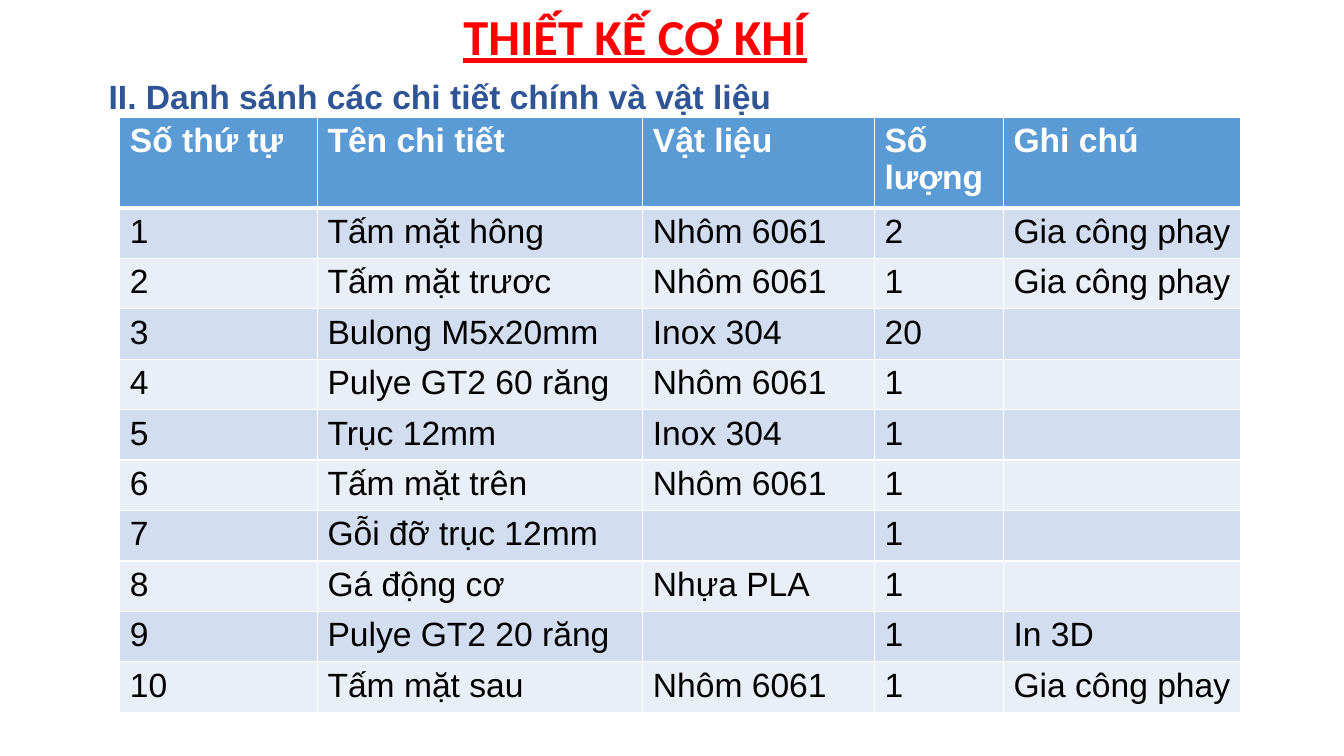
from dataclasses import dataclass

import lxml.etree
import pptx
import pptx.dml.color
import pptx.enum.text
import pptx.oxml.ns
import pptx.util

Cm = pptx.util.Cm


@dataclass(frozen=True)
class Theme:
    title_color: str = "FF0000"
    subtitle_color: str = "2F5597"
    header_color: str = "FFFFFF"
    body_color: str = "000000"
    border_color: str = "FFFFFF"
    header_fill: str = "5B9BD5"
    band_fills: tuple[str, str] = ("D2DEEF", "EAEFF7")
    title_size: float = 36
    text_size: float = 24
    thin_border: float = 1
    thick_border: float = 3


@dataclass(frozen=True)
class TextStyle:
    font: str
    size: float
    color: str
    bold: bool = True
    underline: bool = False


@dataclass(frozen=True)
class Heading:
    text: str
    left: float
    top: float
    width: float
    height: float
    style: TextStyle
    alignment: pptx.enum.text.PP_ALIGN


@dataclass(frozen=True)
class Part:
    name: str
    material: str
    quantity: str
    note: str = ""


THEME = Theme()
TITLE_STYLE = TextStyle("Calibri", THEME.title_size, THEME.title_color, underline=True)
SUBTITLE_STYLE = TextStyle("Arial", THEME.text_size, THEME.subtitle_color)
HEADER_STYLE = TextStyle("Arial", THEME.text_size, THEME.header_color)
BODY_STYLE = TextStyle("Arial", THEME.text_size, THEME.body_color, bold=False)

HEADINGS = (
    Heading("THIẾT KẾ CƠ KHÍ", 3.02, 0, 25.98, 1.8, TITLE_STYLE,
            pptx.enum.text.PP_ALIGN.CENTER),
    Heading("II. Danh sánh các chi tiết chính và vật liệu", 2.49, 1.8, 22.56, 2.11,
            SUBTITLE_STYLE, pptx.enum.text.PP_ALIGN.LEFT),
)

TABLE_LEFT, TABLE_TOP = 3.02, 2.95
COLUMN_WIDTHS = (4.98, 8.2, 5.84, 3.25, 5.98)
HEADER_HEIGHT, BODY_HEIGHT = 2.28, 1.27
COLUMN_TITLES = ("Số thứ tự", "Tên chi tiết", "Vật liệu", "Số lượng", "Ghi chú")
PARTS = (
    Part("Tấm mặt hông", "Nhôm 6061", "2", "Gia công phay"),
    Part("Tấm mặt trươc", "Nhôm 6061", "1", "Gia công phay"),
    Part("Bulong M5x20mm", "Inox 304", "20"),
    Part("Pulye GT2 60 răng", "Nhôm 6061", "1"),
    Part("Trục 12mm", "Inox 304", "1"),
    Part("Tấm mặt trên", "Nhôm 6061", "1"),
    Part("Gỗi đỡ trục 12mm", "", "1"),
    Part("Gá động cơ", "Nhựa PLA", "1"),
    Part("Pulye GT2 20 răng", "", "1", "In 3D"),
    Part("Tấm mặt sau", "Nhôm 6061", "1", "Gia công phay"),
)


def add_run(paragraph, text: str, style: TextStyle) -> None:
    run = paragraph.add_run()
    run.text = text
    run.font.name = style.font
    run.font.size = pptx.util.Pt(style.size)
    run.font.bold = style.bold
    run.font.underline = style.underline
    run.font.color.rgb = pptx.dml.color.RGBColor.from_string(style.color)


def add_heading(slide, heading: Heading) -> None:
    shape = slide.shapes.add_textbox(
        Cm(heading.left), Cm(heading.top), Cm(heading.width), Cm(heading.height))
    shape.text_frame.word_wrap = True
    paragraph = shape.text_frame.paragraphs[0]
    paragraph.alignment = heading.alignment
    add_run(paragraph, heading.text, heading.style)


def add_border(cell, side: str, width: float) -> None:
    qualified = pptx.oxml.ns.qn
    properties = cell._tc.get_or_add_tcPr()
    line = lxml.etree.SubElement(properties, qualified(f"a:ln{side}"),
                                 w=str(pptx.util.Pt(width)))
    fill = lxml.etree.SubElement(line, qualified("a:solidFill"))
    lxml.etree.SubElement(fill, qualified("a:srgbClr"), val=THEME.border_color)


def fill_cell(cell, text: str, row_index: int) -> None:
    is_header = row_index == 0
    top = THEME.thick_border if row_index == 1 else THEME.thin_border
    bottom = THEME.thick_border if is_header else THEME.thin_border
    borders = {"L": THEME.thin_border, "R": THEME.thin_border, "T": top, "B": bottom}
    for side, width in borders.items():
        add_border(cell, side, width)
    color = THEME.header_fill if is_header else THEME.band_fills[(row_index - 1) % 2]
    cell.fill.solid()
    cell.fill.fore_color.rgb = pptx.dml.color.RGBColor.from_string(color)
    if text:
        add_run(cell.text_frame.paragraphs[0], text,
                HEADER_STYLE if is_header else BODY_STYLE)


def add_parts_table(slide) -> None:
    rows = [COLUMN_TITLES] + [
        (str(number), part.name, part.material, part.quantity, part.note)
        for number, part in enumerate(PARTS, start=1)
    ]
    heights = [HEADER_HEIGHT] + [BODY_HEIGHT] * len(PARTS)
    table = slide.shapes.add_table(
        len(rows), len(COLUMN_TITLES), Cm(TABLE_LEFT), Cm(TABLE_TOP),
        Cm(sum(COLUMN_WIDTHS)), Cm(sum(heights))).table
    for column, width in zip(table.columns, COLUMN_WIDTHS):
        column.width = Cm(width)
    for row_index, (texts, height) in enumerate(zip(rows, heights)):
        table.rows[row_index].height = Cm(height)
        for column_index, text in enumerate(texts):
            fill_cell(table.cell(row_index, column_index), text, row_index)


def main() -> None:
    presentation = pptx.Presentation()
    presentation.slide_width = Cm(33.87)
    presentation.slide_height = Cm(19.05)
    slide = presentation.slides.add_slide(presentation.slide_layouts[6])
    for heading in HEADINGS:
        add_heading(slide, heading)
    add_parts_table(slide)
    presentation.save("out.pptx")


if __name__ == "__main__":
    main()
